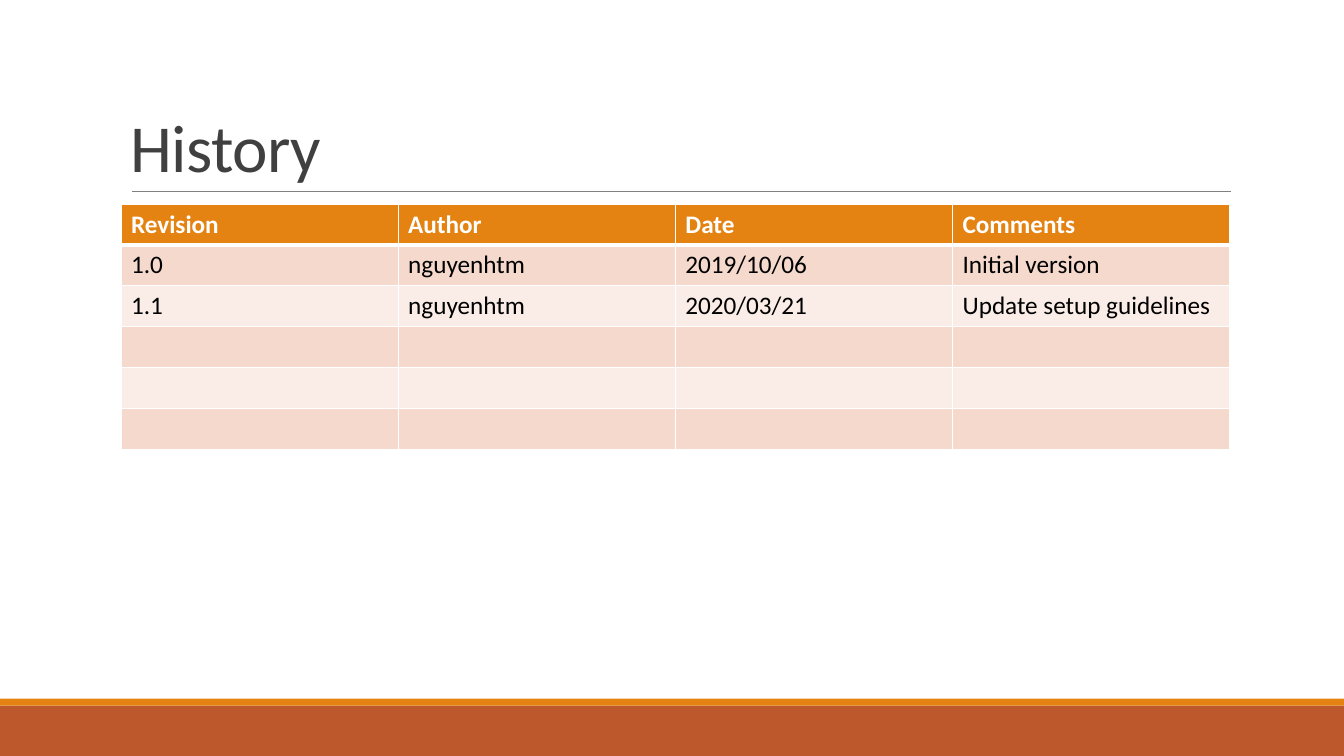
import dataclasses

import lxml.etree
import pptx
import pptx.dml.color
import pptx.enum.shapes
import pptx.enum.text
import pptx.oxml.ns
import pptx.util

Pt = pptx.util.Pt
RGB = pptx.dml.color.RGBColor
qn = pptx.oxml.ns.qn

WHITE = RGB(0xFF, 0xFF, 0xFF)
BLACK = RGB(0x00, 0x00, 0x00)
DARK = RGB(0x40, 0x40, 0x40)
GRAY = RGB(0x80, 0x80, 0x80)
ORANGE = RGB(0xE4, 0x83, 0x12)
RUST = RGB(0xBD, 0x58, 0x2C)
PINK = RGB(0xF5, 0xD9, 0xCC)
PALE = RGB(0xFA, 0xED, 0xE7)

WIDE, HIGH = 960, 540
LEFT, SPAN = 86.4, 792
ROW = 29.2
EDGE, HEAVY = 1, 3


@dataclasses.dataclass(frozen=True)
class Band:
    top: float
    height: float
    color: RGB


BANDS = [Band(504, 36, RUST), Band(499, 5, ORANGE)]

ROWS = [
    ("Revision", "Author", "Date", "Comments"),
    ("1.0", "nguyenhtm", "2019/10/06", "Initial version"),
    ("1.1", "nguyenhtm", "2020/03/21", "Update setup guidelines"),
    ("",) * 4,
    ("",) * 4,
    ("",) * 4,
]


def write(frame, text: str, *, size: float = 18, color: RGB = BLACK,
          bold: bool = False, pitch: float = 0, lead: float = 1) -> None:
    para = frame.paragraphs[0]
    para.line_spacing = lead
    run = para.add_run()
    run.text = text
    run.font.name = "Calibri"
    run.font.size = Pt(size)
    run.font.bold = bold
    run.font.color.rgb = color
    if pitch:
        run.font._element.set("spc", str(round(pitch * 100)))


def draw_band(slide, band: Band) -> None:
    shape = slide.shapes.add_shape(
        pptx.enum.shapes.MSO_SHAPE.RECTANGLE,
        0, Pt(band.top), Pt(WIDE), Pt(band.height))
    shape.shadow.inherit = False
    shape.fill.solid()
    shape.fill.fore_color.rgb = band.color
    shape.line.fill.background()


def draw_rule(slide) -> None:
    rule = slide.shapes.add_connector(
        pptx.enum.shapes.MSO_CONNECTOR.STRAIGHT,
        Pt(94.3), Pt(136.8), Pt(879), Pt(136.8))
    rule.line.color.rgb = GRAY
    rule.line.width = Pt(0.5)
    lxml.etree.SubElement(rule._element.spPr, qn("a:effectLst"))


def draw_title(slide) -> None:
    box = slide.shapes.add_textbox(Pt(LEFT), Pt(22.5), Pt(SPAN), Pt(114.3))
    frame = box.text_frame
    frame.word_wrap = True
    frame.vertical_anchor = pptx.enum.text.MSO_ANCHOR.BOTTOM
    write(frame, "History", size=48, color=DARK, pitch=-0.5, lead=0.85)


def add_edge(cell, side: str, width: float) -> None:
    props = cell._tc.get_or_add_tcPr()
    line = lxml.etree.SubElement(props, qn(f"a:ln{side}"), w=str(Pt(width)))
    fill = lxml.etree.SubElement(line, qn("a:solidFill"))
    lxml.etree.SubElement(fill, qn("a:srgbClr"), val=str(WHITE))


def draw_table(slide) -> None:
    count = len(ROWS[0])
    table = slide.shapes.add_table(
        len(ROWS), count, Pt(LEFT), Pt(145.7),
        Pt(SPAN), Pt(ROW * len(ROWS))).table
    table.horz_banding = False
    for col in table.columns:
        col.width = Pt(SPAN / count)
    for i, texts in enumerate(ROWS):
        table.rows[i].height = Pt(ROW)
        head = i == 0
        tint = ORANGE if head else (PALE, PINK)[i % 2]
        edges = {"L": EDGE, "R": EDGE,
                 "T": HEAVY if i == 1 else EDGE,
                 "B": HEAVY if head else EDGE}
        for j, text in enumerate(texts):
            cell = table.cell(i, j)
            for side, width in edges.items():
                add_edge(cell, side, width)
            cell.fill.solid()
            cell.fill.fore_color.rgb = tint
            if text:
                write(cell.text_frame, text, bold=head,
                      color=WHITE if head else BLACK)


def main() -> None:
    deck = pptx.Presentation()
    deck.slide_width, deck.slide_height = Pt(WIDE), Pt(HIGH)
    slide = deck.slides.add_slide(deck.slide_layouts[6])
    for band in BANDS:
        draw_band(slide, band)
    draw_rule(slide)
    draw_title(slide)
    draw_table(slide)
    deck.save("out.pptx")


if __name__ == "__main__":
    main()
